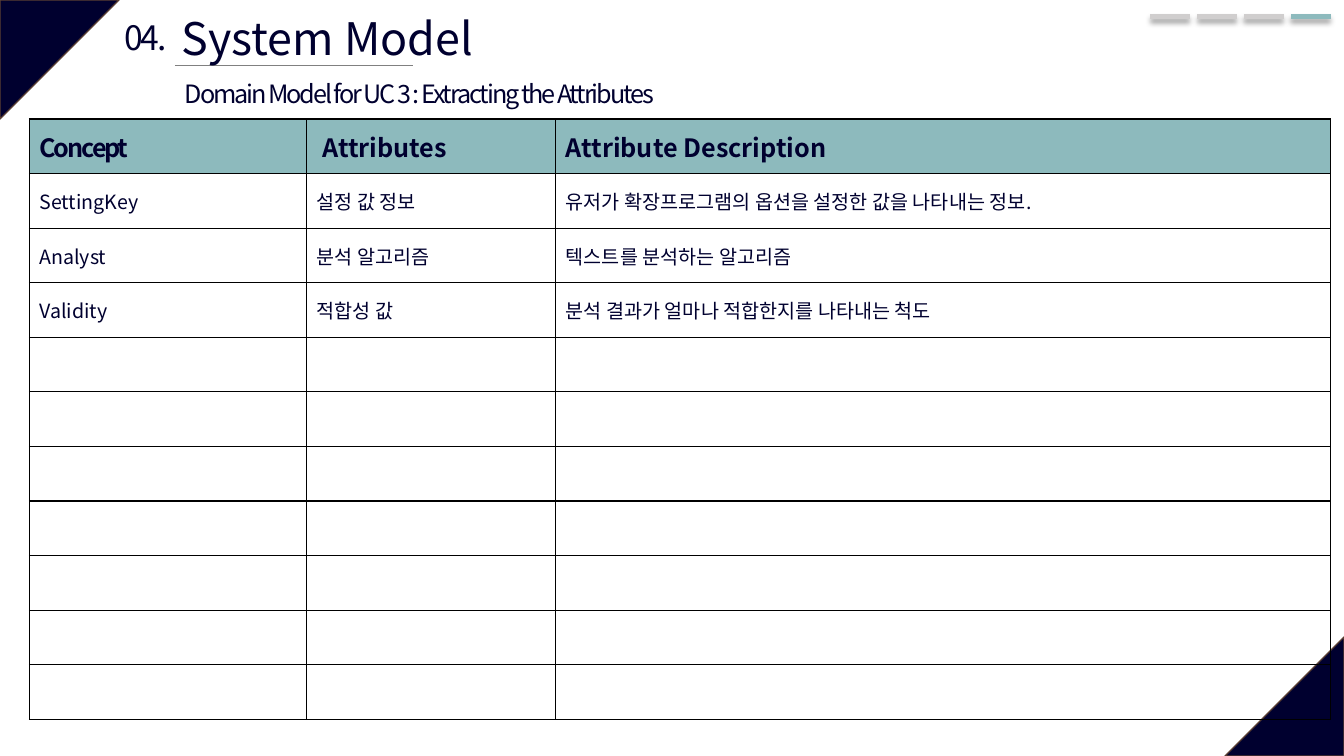
from lxml.etree import SubElement
from pptx import Presentation
from pptx.dml.color import RGBColor
from pptx.enum.shapes import MSO_CONNECTOR, MSO_SHAPE
from pptx.enum.text import MSO_ANCHOR, MSO_AUTO_SIZE, PP_ALIGN
from pptx.oxml import parse_xml
from pptx.oxml.ns import nsdecls, qn
from pptx.util import Pt

NAVY = RGBColor(0x00, 0x00, 0x2F)
BROWN = RGBColor(0x5B, 0x3F, 0x33)
TEAL = RGBColor(0x8D, 0xBA, 0xBD)
GRAY = RGBColor(0x80, 0x80, 0x80)
SILVER = RGBColor(0xD0, 0xCE, 0xCE)
FONT = "Noto Sans CJK KR"
WIDTH, HEIGHT = 960, 540

HEADER = ("Concept", " Attributes", "Attribute Description")
CONCEPTS = (
    ("SettingKey", "설정 값 정보", "유저가 확장프로그램의 옵션을 설정한 값을 나타내는 정보."),
    ("Analyst", "분석 알고리즘", "텍스트를 분석하는 알고리즘"),
    ("Validity", "적합성 값", "분석 결과가 얼마나 적합한지를 나타내는 척도"),
)
EMPTY_ROWS = 7
COL_WIDTHS = (198, 178, 553.5)


def add_run(p, text, size, bold=False, spacing=0):
    """Add a navy run with the slide font and the given letter spacing in points."""
    r = p.add_run()
    r.text = text
    for name, value in {"size": Pt(size), "bold": bold, "name": FONT}.items():
        setattr(r.font, name, value)
    r.font.color.rgb = NAVY
    rPr = r.font._element
    SubElement(rPr, qn("a:ea")).set("typeface", FONT)
    if spacing:
        rPr.set("spc", str(int(spacing * 100)))


def add_text(slide, box, text, size, wrap=False, align=PP_ALIGN.LEFT, spacing=0):
    """Add a one-line text box."""
    tf = slide.shapes.add_textbox(*map(Pt, box)).text_frame
    tf.word_wrap = wrap
    tf.auto_size = MSO_AUTO_SIZE.SHAPE_TO_FIT_TEXT
    p = tf.paragraphs[0]
    p.alignment = align
    add_run(p, text, size, spacing=spacing)


def add_rule(slide, x, y, length, color, width, shadow=False):
    """Add a horizontal line, with a soft drop shadow if asked for."""
    ln = slide.shapes.add_connector(
        MSO_CONNECTOR.STRAIGHT, Pt(x), Pt(y), Pt(x + length), Pt(y))
    ln.line.color.rgb = color
    ln.line.width = Pt(width)
    effects = SubElement(ln._element.spPr, qn("a:effectLst"))
    if shadow:
        effects.append(parse_xml(
            f'<a:outerShdw {nsdecls("a")} blurRad="{Pt(4)}" dist="{Pt(3)}" '
            'dir="5400000" algn="t" rotWithShape="0"><a:srgbClr val="000000">'
            '<a:alpha val="40000"/></a:srgbClr></a:outerShdw>'))


def add_corners(slide, x, y, w, h, side=85):
    """Place navy triangles in the top left and bottom right corners of the box."""
    for left, top, turn in ((x, y, 90), (x + w - side, y + h - side, 270)):
        sp = slide.shapes.add_shape(
            MSO_SHAPE.ISOSCELES_TRIANGLE, Pt(left), Pt(top), Pt(side), Pt(side))
        sp.adjustments[0] = 0
        sp.rotation = turn
        sp.shadow.inherit = False
        sp.fill.solid()
        sp.fill.fore_color.rgb = NAVY
        sp.line.color.rgb = BROWN
        sp.line.width = Pt(1)


def add_heading(slide, x, y):
    """Place the section number, title, rule and subtitle from the box corner."""
    add_rule(slide, x + 45, y + 43, 170, GRAY, 0.5)
    add_text(slide, (x, y + 5, 48, 36), "04.", 24, align=PP_ALIGN.CENTER, spacing=-1.5)
    add_text(slide, (x + 42.5, y, 245.5, 46), "System Model", 32, wrap=True)
    add_text(slide, (x + 45, y + 48.5, 379, 29),
             "Domain Model for UC 3 : Extracting the Attributes", 18, spacing=-1.5)


def add_progress(slide, x, y, w, steps=4, current=3, gap=5.2):
    """Place the row of step marks across the box with the current one in teal."""
    length = (w - gap * (steps - 1)) / steps
    for i in range(steps):
        color = TEAL if i == current else SILVER
        add_rule(slide, x + i * (length + gap), y, length, color, 3.5, shadow=True)


def set_borders(cell):
    """Draw a thin black line on all four sides of a cell."""
    tcPr = cell._tc.get_or_add_tcPr()
    for i, side in enumerate(("lnL", "lnR", "lnT", "lnB")):
        tcPr.insert(i, parse_xml(
            f'<a:{side} {nsdecls("a")} w="{Pt(1)}"><a:solidFill>'
            f'<a:srgbClr val="000000"/></a:solidFill></a:{side}>'))


def add_attribute_table(slide, x, y, w, h):
    """Fill the box with the table of concepts and their attributes."""
    rows = [HEADER, *CONCEPTS] + [("",) * len(HEADER)] * EMPTY_ROWS
    table = slide.shapes.add_table(
        len(rows), len(HEADER), Pt(x), Pt(y), Pt(w), Pt(h)).table
    table.first_row = table.horz_banding = False
    for col, width in zip(table.columns, COL_WIDTHS):
        col.width = Pt(width)
    for i, texts in enumerate(rows):
        table.rows[i].height = Pt(h / len(rows))
        for j, text in enumerate(texts):
            cell = table.cell(i, j)
            cell.vertical_anchor = MSO_ANCHOR.MIDDLE
            set_borders(cell)
            if i == 0:
                cell.fill.solid()
                cell.fill.fore_color.rgb = TEAL
            else:
                cell.fill.background()
            if text:
                add_run(cell.text_frame.paragraphs[0], text, 14 if i else 18,
                        bold=i == 0, spacing=-1.5 if i == j == 0 else 0)


def main():
    """Build the slide and save it."""
    prs = Presentation()
    prs.slide_width, prs.slide_height = Pt(WIDTH), Pt(HEIGHT)
    slide = prs.slides.add_slide(prs.slide_layouts[6])
    add_corners(slide, 0, 0, WIDTH, HEIGHT)
    add_heading(slide, 80, 3.8)
    add_progress(slide, 821.5, 11.5, 129)
    add_attribute_table(slide, 21, 85, sum(COL_WIDTHS), 429)
    prs.save("out.pptx")


if __name__ == "__main__":
    main()
